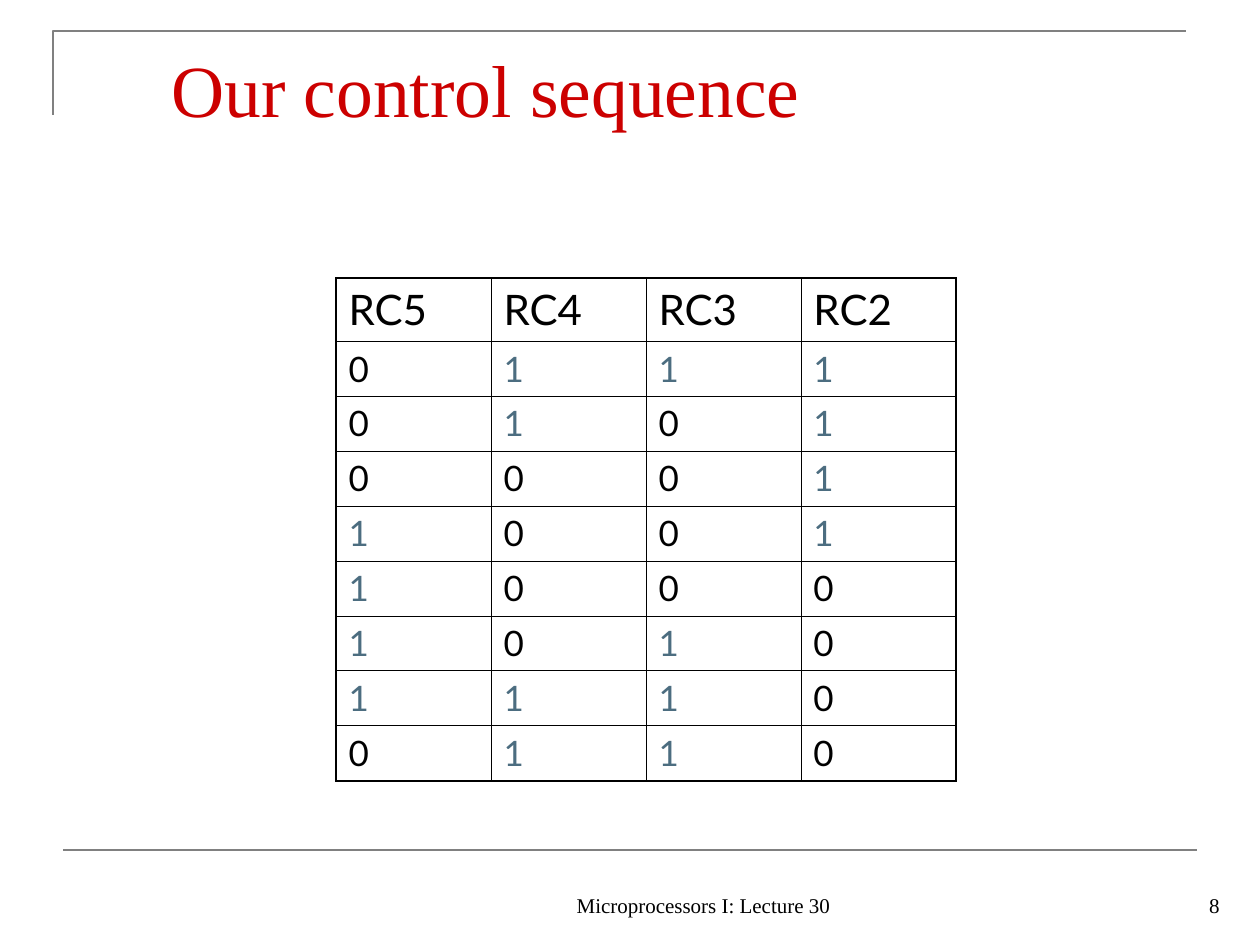
from dataclasses import dataclass, field

import lxml.etree
import pptx
import pptx.dml.color
import pptx.enum.shapes
import pptx.enum.text
import pptx.oxml.ns
import pptx.util

EMU_PER_PX = 914400 / 126
BLACK = pptx.dml.color.RGBColor(0x00, 0x00, 0x00)
GRAY = pptx.dml.color.RGBColor(0x80, 0x80, 0x80)
RED = pptx.dml.color.RGBColor(0xCC, 0x00, 0x00)
SLATE = pptx.dml.color.RGBColor(0x4C, 0x6D, 0x80)
SERIF = "Times New Roman"
SANS = "Lato"
RULE_WIDTH = 1.5
OUTER_BORDER = 1.08
INNER_BORDER = 0.45
COLUMN_WIDTH = 155
HEADER_HEIGHT = 63
STEP_HEIGHT = 55

PINS = ("RC5", "RC4", "RC3", "RC2")
STEPS = ("0111", "0101", "0001", "1001", "1000", "1010", "1110", "0110")

ALIGN = pptx.enum.text.PP_ALIGN
ANCHOR = pptx.enum.text.MSO_ANCHOR


@dataclass
class Label:
    text: str
    left: int
    top: int
    width: int
    height: int
    size: int
    color: pptx.dml.color.RGBColor = BLACK
    align: ALIGN = ALIGN.LEFT
    frame_format: dict = field(default_factory=dict)


LABELS = (
    Label("Microprocessors I: Lecture 30", 504, 861, 399, 63, 12,
          align=ALIGN.CENTER, frame_format={"vertical_anchor": ANCHOR.BOTTOM}),
    Label("8", 970, 861, 262, 63, 12,
          align=ALIGN.RIGHT, frame_format={"vertical_anchor": ANCHOR.BOTTOM}),
    Label("Our control sequence", 159, 29, 1073, 202, 42, RED,
          frame_format={"vertical_anchor": ANCHOR.TOP,
                        "margin_top": pptx.util.Inches(0.12)}),
)


def px(length: int) -> pptx.util.Emu:
    return pptx.util.Emu(round(length * EMU_PER_PX))


def set_format(target, values: dict) -> None:
    for name, value in values.items():
        setattr(target, name, value)


def write_text(frame, text: str, font_format: dict, align: ALIGN = ALIGN.LEFT) -> None:
    para = frame.paragraphs[0]
    para.alignment = align
    span = para.add_run()
    span.text = text
    span.font.color.rgb = font_format["color"]
    set_format(span.font, {"name": font_format["name"],
                           "size": pptx.util.Pt(font_format["size"])})


def draw_label(page, label: Label) -> None:
    box = page.shapes.add_textbox(
        px(label.left), px(label.top), px(label.width), px(label.height))
    set_format(box.text_frame, {"word_wrap": True, **label.frame_format})
    write_text(box.text_frame, label.text,
               {"name": SERIF, "size": label.size, "color": label.color}, label.align)


def style_rule(line) -> None:
    line.color.rgb = GRAY
    line.width = pptx.util.Pt(RULE_WIDTH)


def draw_frame_rules(page) -> None:
    builder = page.shapes.build_freeform(53, 115, scale=EMU_PER_PX)
    builder.add_line_segments(((53, 31), (1186, 31)), close=False)
    corner = builder.convert_to_shape()
    corner.shadow.inherit = False
    corner.fill.background()
    style_rule(corner.line)

    footer_rule = page.shapes.add_connector(
        pptx.enum.shapes.MSO_CONNECTOR.STRAIGHT, px(63), px(850), px(1197), px(850))
    style_rule(footer_rule.line)
    lxml.etree.SubElement(
        footer_rule._element.spPr, pptx.oxml.ns.qn("a:effectLst"))


def set_borders(cell, outer_sides: dict[str, bool]) -> None:
    properties = cell._tc.get_or_add_tcPr()
    for position, (side, is_outer) in enumerate(outer_sides.items()):
        width = pptx.util.Pt(OUTER_BORDER if is_outer else INNER_BORDER)
        border = lxml.etree.Element(pptx.oxml.ns.qn(f"a:{side}"), w=str(width))
        fill = lxml.etree.SubElement(border, pptx.oxml.ns.qn("a:solidFill"))
        lxml.etree.SubElement(fill, pptx.oxml.ns.qn("a:srgbClr"), val=str(BLACK))
        properties.insert(position, border)


def draw_sequence_table(page) -> None:
    rows = (PINS, *STEPS)
    heights = [HEADER_HEIGHT] + [STEP_HEIGHT] * len(STEPS)
    table = page.shapes.add_table(
        len(rows), len(PINS), px(336), px(278),
        px(COLUMN_WIDTH * len(PINS)), px(sum(heights))).table
    set_format(table, {"first_row": False, "horz_banding": False})
    for column in table.columns:
        column.width = px(COLUMN_WIDTH)
    for row_index, values in enumerate(rows):
        table.rows[row_index].height = px(heights[row_index])
        for column_index, value in enumerate(values):
            cell = table.cell(row_index, column_index)
            cell.fill.background()
            write_text(cell.text_frame, value, {
                "name": SANS,
                "size": 24 if row_index == 0 else 20,
                "color": SLATE if value == "1" else BLACK,
            })
            set_borders(cell, {
                "lnL": column_index == 0,
                "lnR": column_index == len(PINS) - 1,
                "lnT": row_index == 0,
                "lnB": row_index == len(rows) - 1,
            })


def main() -> None:
    deck = pptx.Presentation()
    set_format(deck, {"slide_width": px(1260), "slide_height": px(945)})
    page = deck.slides.add_slide(deck.slide_layouts[6])
    draw_frame_rules(page)
    for label in LABELS:
        draw_label(page, label)
    draw_sequence_table(page)
    deck.save("out.pptx")


if __name__ == "__main__":
    main()
